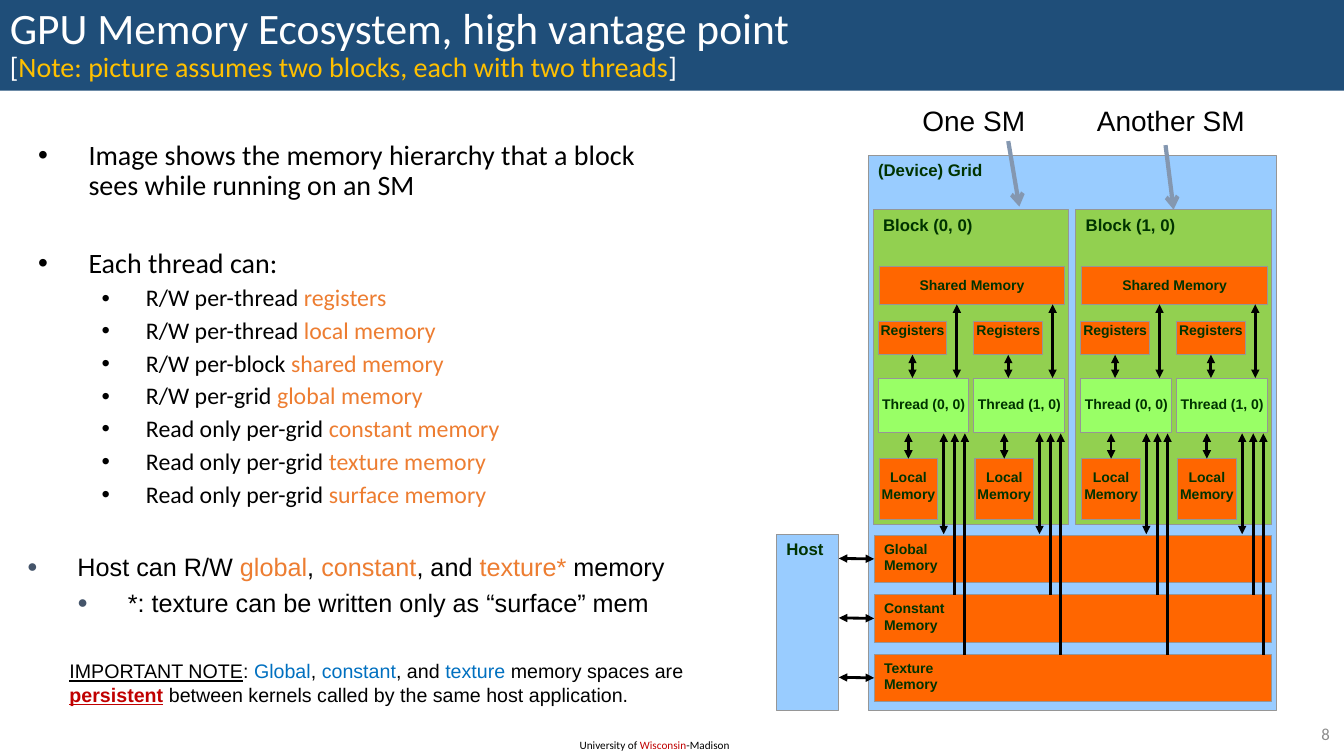
from dataclasses import dataclass
from typing import NamedTuple

from lxml import etree
from pptx import Presentation
from pptx.dml.color import RGBColor
from pptx.enum.shapes import MSO_CONNECTOR, MSO_SHAPE
from pptx.enum.text import MSO_ANCHOR, PP_ALIGN
from pptx.oxml.ns import qn
from pptx.util import Inches, Pt

RECT, LINE = MSO_SHAPE.RECTANGLE, MSO_CONNECTOR.STRAIGHT
TOP, MID = MSO_ANCHOR.TOP, MSO_ANCHOR.MIDDLE
LEFT, MIDDLE, RIGHT = PP_ALIGN.LEFT, PP_ALIGN.CENTER, PP_ALIGN.RIGHT
NORTH, WEST, SOUTH = 0, 1, 2

HUES = {
    "navy": "1F4E79", "white": "FFFFFF", "black": "000000", "gold": "FFC000",
    "red": "C00000", "blue": "0070C0", "rust": "ED7D31", "gray": "8C8C8C",
    "slate": "44546A", "sky": "99CCFF", "fire": "FF6600", "lime": "99FF66",
    "leaf": "92D050", "rim": "969696", "pine": "003300", "steel": "8497B0",
}


class Run(NamedTuple):
    text: str
    hue: str = "black"
    form: dict = {}


@dataclass
class Para:
    runs: list[Run]
    size: float
    font: str = "Arial"
    align: int = LEFT
    lead: float = 1.0
    gap: float = 0
    level: int = 0
    left: float = 0
    mark: str = ""
    hang: float = 0.5
    tint: str = ""


@dataclass
class Box:
    x: float
    y: float
    w: float
    h: float
    paras: list[Para]
    fill: str = ""
    rim: str = ""
    inset: tuple = (0.1, 0.05, 0.1, 0.05)
    anchor: int = TOP
    wrap: bool = True


@dataclass
class Link:
    start: tuple
    end: tuple
    hue: str = "black"
    width: float = 2
    head: str = ""
    tail: str = ""
    first: tuple = ()
    last: tuple = ()


def paint(hue: str) -> RGBColor:
    return RGBColor.from_string(HUES[hue])


def add_mark(para, spec: Para) -> None:
    props = para._p.get_or_add_pPr()
    props.set("marL", str(Inches(spec.left)))
    props.set("indent", str(Inches(-spec.hang)))
    if spec.tint:
        tint = etree.SubElement(props, qn("a:buClr"))
        etree.SubElement(tint, qn("a:srgbClr"), val=HUES[spec.tint])
        etree.SubElement(props, qn("a:buSzPct"), val="70000")
    etree.SubElement(props, qn("a:buFont"), typeface="Arial")
    etree.SubElement(props, qn("a:buChar"), char=spec.mark)


def write(para, spec: Para) -> None:
    if spec.mark:
        add_mark(para, spec)
    form = {"alignment": spec.align, "line_spacing": spec.lead,
            "space_before": Pt(spec.gap), "level": spec.level}
    for key, val in form.items():
        setattr(para, key, val)
    for item in spec.runs:
        if item.text == "\n":
            para.add_line_break()
            continue
        run = para.add_run()
        run.text = item.text
        run.font.color.rgb = paint(item.hue)
        style = {"name": spec.font, "size": Pt(spec.size), **item.form}
        for key, val in style.items():
            setattr(run.font, key, val)


def add_box(shapes, box: Box):
    place = [Inches(n) for n in (box.x, box.y, box.w, box.h)]
    if box.fill:
        shape = shapes.add_shape(RECT, *place)
        shape.shadow.inherit = False
        shape.fill.solid()
        shape.fill.fore_color.rgb = paint(box.fill)
        if box.rim:
            shape.line.color.rgb = paint(box.rim)
            shape.line.width = Pt(0.75)
        else:
            shape.line.fill.background()
    else:
        shape = shapes.add_textbox(*place)
    frame = shape.text_frame
    frame.word_wrap = box.wrap
    frame.vertical_anchor = box.anchor
    for side, size in zip(("left", "top", "right", "bottom"), box.inset):
        setattr(frame, f"margin_{side}", Inches(size))
    for i, spec in enumerate(box.paras):
        write(frame.add_paragraph() if i else frame.paragraphs[0], spec)
    return shape


def add_link(shapes, link: Link) -> None:
    ends = [Inches(n) for n in (*link.start, *link.end)]
    line = shapes.add_connector(LINE, *ends)
    if link.first:
        line.begin_connect(*link.first)
    if link.last:
        line.end_connect(*link.last)
    line.line.color.rgb = paint(link.hue)
    line.line.width = Pt(link.width)
    for tag, kind in (("headEnd", link.head), ("tailEnd", link.tail)):
        if kind:
            etree.SubElement(line.line._get_or_add_ln(), qn(f"a:{tag}"), type=kind)
    etree.SubElement(line._element.spPr, qn("a:effectLst"))


def label(text: str, size: float, align: int = LEFT) -> list[Para]:
    return [Para([Run(part, "pine", {"bold": True})], size, align=align)
            for part in text.split("\n")]


def add_cell(shapes, x, y, w, h, text, fill="fire", pad=0.1):
    return add_box(shapes, Box(x, y, w, h, label(text, 10, MIDDLE), fill, "rim",
                               (0, pad, 0, 0)))


def add_pair(shapes, start, end, **joins) -> None:
    add_link(shapes, Link(start, end, head="triangle", tail="triangle", **joins))


def add_thread(shapes, x: float, num: int) -> None:
    cell = add_cell(shapes, x + 0.06, 4.55, 0.58, 0.6, "Local\nMemory")
    add_cell(shapes, x + 0.05, 3.76, 0.9, 0.53, f"Thread ({num}, 0)", "lime", 0.16)
    regs = add_cell(shapes, x + 0.05, 3.19, 0.68, 0.33, "Registers", pad=0)
    add_pair(shapes, (x + 0.83, 3.75), (x + 0.83, 3.02))
    add_pair(shapes, (x + 0.39, 3.75), (x + 0.39, 3.52), last=(regs, SOUTH))
    add_pair(shapes, (x + 0.35, 4.55), (x + 0.35, 4.3), first=(cell, NORTH))
    add_pair(shapes, (x + 0.7, 4.3), (x + 0.7, 5.3))
    for step, end in ((0.91, 6.5), (0.81, 5.9)):
        add_link(shapes, Link((x + step, 4.3), (x + step, end), head="triangle"))


def add_block(shapes, num: int):
    x = 8.66 + 2.01 * num
    block = add_box(shapes, Box(x, 2.08, 1.94, 3.12, label(f"Block ({num}, 0)", 12),
                                "leaf", "rim"))
    add_cell(shapes, x + 0.06, 2.64, 1.84, 0.38, "Shared Memory")
    for i in range(2):
        add_thread(shapes, x + 0.95 * i, i)
    return block


def add_words(shapes) -> None:
    # Footer, title and page number
    foot = [Run("University of "), Run("Wisconsin", "red"), Run("-Madison")]
    add_box(shapes, Box(5.65, 7.28, 1.72, 0.24, [Para(foot, 8, "Calibri")]))
    small = {"size": Pt(20)}
    title = [Run("GPU Memory Ecosystem, high vantage point", "white"), Run("\n"),
             Run("[", "white", small),
             Run("Note: picture assumes two blocks, each with two threads", "gold", small),
             Run("]", "white", small)]
    add_box(shapes, Box(0, 0, 13.33, 0.9, [Para(title, 31, "Calibri", lead=0.9)],
                        "navy", anchor=MID))
    page = Para([Run("8", "gray")], 12, "Calibri", RIGHT)
    add_box(shapes, Box(12.53, 7.13, 0.76, 0.29, [page], anchor=MID))

    # Main list
    heads = (("Image shows the memory hierarchy that a block sees while running on an SM", 0),
             ("Each thread can:", 34))
    body = [Para([Run(text)], 20, "Calibri", lead=0.9, gap=gap, left=0.5, mark="•")
            for text, gap in heads]
    spaces = (("R/W per-thread", "registers"), ("R/W per-thread", "local memory"),
              ("R/W per-block", "shared memory"), ("R/W per-grid", "global memory"),
              *(("Read only per-grid", f"{kind} memory")
                for kind in ("constant", "texture", "surface")))
    body += [Para([Run(f"{mode} "), Run(name, "rust")], 17, "Calibri", lead=0.9, gap=5,
                  level=1, left=1.07, mark="•", hang=0.44) for mode, name in spaces]
    add_box(shapes, Box(0.28, 1.35, 6.4, 4.07, body))

    # Host access and closing note
    host = [Run("Host can R/W "), Run("global", "rust"), Run(", "), Run("constant", "rust"),
            Run(", and "), Run("texture*", "rust"), Run(" memory")]
    more = [Run("*: texture can be written only as “surface” mem")]
    add_box(shapes, Box(0.17, 5.42, 6.98, 0.93, [
        Para(host, 18, left=0.5, mark="●", tint="slate"),
        Para(more, 18, gap=4, level=1, left=1, mark="●", tint="slate")]))
    note = [Run("IMPORTANT NOTE", form={"underline": True}), Run(": "),
            Run("Global", "blue"), Run(", "), Run("constant", "blue"), Run(", and "),
            Run("texture", "blue"), Run(" memory spaces are "),
            Run("persistent", "red", {"bold": True, "underline": True}),
            Run(" between kernels called by the same host application.")]
    add_box(shapes, Box(0.59, 6.49, 6.82, 0.57, [Para(note, 14)]))


def add_chip(shapes) -> None:
    # Device grid, memory bars and blocks
    add_box(shapes, Box(8.61, 1.54, 4.05, 5.51, label("(Device) Grid", 12), "sky", "rim"))
    bars = [add_box(shapes, Box(8.67, 5.31 + 0.59 * i, 3.94, 0.47,
                                label(f"{kind}\nMemory", 10), "fire", "rim"))
            for i, kind in enumerate(("Global", "Constant", "Texture"))]
    blocks = [add_block(shapes, i) for i in range(2)]

    # Host and its arrows
    add_box(shapes, Box(7.7, 5.3, 0.62, 1.75, label("Host", 12), "sky", "rim"))
    for i, bar in enumerate(bars):
        y = 5.54 + 0.59 * i
        add_pair(shapes, (8.32, y), (8.67, y), last=(bar, WEST))

    # Captions for the two SMs
    for text, x, w, fill in (("One SM", 9.05, 1.23, ""), ("Another SM", 10.78, 1.68, "white")):
        add_box(shapes, Box(x, 0.98, w, 0.44, [Para([Run(text)], 20)], fill, wrap=False))
    for start, end, last in (((10, 1.4), (10.11, 2.05), ()),
                             ((11.56, 1.44), (11.64, 2.08), (blocks[1], NORTH))):
        add_link(shapes, Link(start, end, "steel", 3, tail="arrow", last=last))


def main() -> None:
    deck = Presentation()
    deck.slide_width, deck.slide_height = Inches(13.33), Inches(7.5)
    shapes = deck.slides.add_slide(deck.slide_layouts[6]).shapes
    add_words(shapes)
    add_chip(shapes)
    deck.save("out.pptx")


if __name__ == "__main__":
    main()
